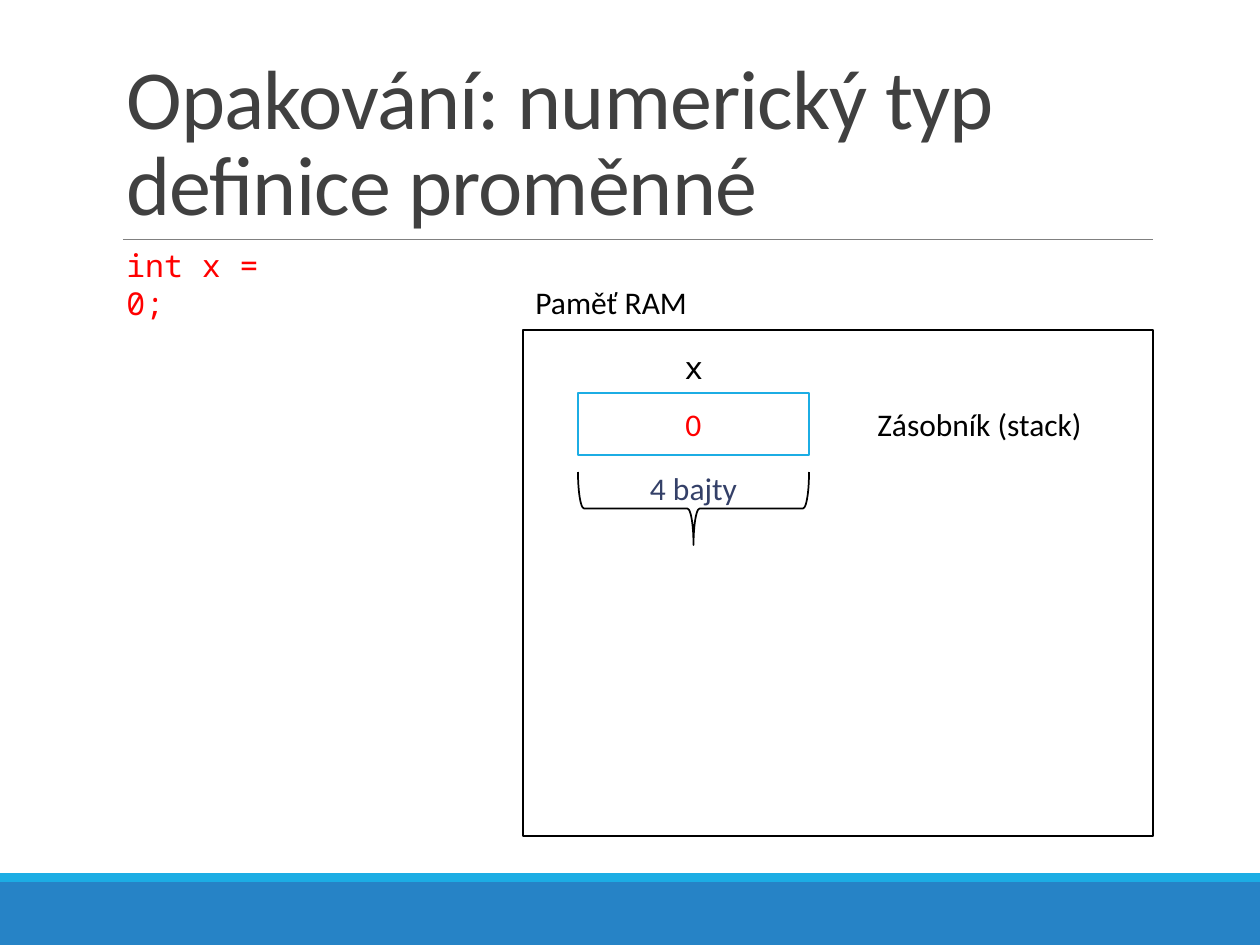
import pptx
import pptx.util
import pptx.dml.color
import pptx.enum.shapes
import pptx.enum.text
import pptx.oxml.ns
import lxml.etree

EMU_PER_PX = 914400 / 126
COLORS = {
    "white": "FFFFFF",
    "black": "000000",
    "red": "FF0000",
    "blue": "2683C6",
    "cyan": "1CADE4",
    "navy": "344068",
    "title": "404040",
    "rule": "808080",
}
SHAPES = pptx.enum.shapes.MSO_SHAPE
ALIGN = pptx.enum.text.PP_ALIGN
ANCHOR = pptx.enum.text.MSO_ANCHOR


def px(*lengths):
    return [pptx.util.Emu(round(length * EMU_PER_PX)) for length in lengths]


def write_text(shape, text, color="black", font="Calibri", size=18, align=ALIGN.LEFT,
               anchor=ANCHOR.TOP, line_spacing=None, tracking=None, margin_right=13):
    frame = shape.text_frame
    frame.word_wrap = True
    frame.auto_size = pptx.enum.text.MSO_AUTO_SIZE.NONE
    frame.vertical_anchor = anchor
    frame.margin_right = px(margin_right)[0]
    paragraph = frame.paragraphs[0]
    paragraph.text = text
    paragraph.alignment = align
    paragraph.line_spacing = line_spacing
    for run in paragraph.runs:
        run.font.name = font
        run.font.size = pptx.util.Pt(size)
        run.font.color.rgb = pptx.dml.color.RGBColor.from_string(COLORS[color])
        if tracking is not None:
            run.font._element.set("spc", str(tracking))


presentation = pptx.Presentation()
presentation.slide_width, presentation.slide_height = px(1260, 945)
slide = presentation.slides.add_slide(presentation.slide_layouts[5])

centered = {"align": ALIGN.CENTER, "anchor": ANCHOR.MIDDLE}
for kind, place, fill, line, width, text, text_color in [
    (SHAPES.RECTANGLE, (0, 882, 1260, 63), "blue", None, 0, None, None),
    (SHAPES.RECTANGLE, (0, 873, 1260, 9), "cyan", None, 0, None, None),
    (SHAPES.RECTANGLE, (523, 330, 630, 506), "white", "black", 1.25, None, None),
    (SHAPES.RECTANGLE, (578, 393, 231, 62), "white", "cyan", 1.25, "0", "red"),
    (SHAPES.LEFT_BRACE, (657, 393, 73, 231), None, "black", 1, "4 bajty", "navy"),
]:
    shape = slide.shapes.add_shape(kind, *px(*place))
    shape.shadow.inherit = False
    if fill:
        shape.fill.solid()
        shape.fill.fore_color.rgb = pptx.dml.color.RGBColor.from_string(COLORS[fill])
    else:
        shape.fill.background()
    if line:
        shape.line.color.rgb = pptx.dml.color.RGBColor.from_string(COLORS[line])
        shape.line.width = pptx.util.Pt(width)
    else:
        shape.line.fill.background()
    if text:
        write_text(shape, text, color=text_color, **centered)
    if kind == SHAPES.LEFT_BRACE:
        shape.rotation = 270
        shape.text_frame._txBody.bodyPr.set("vert", "vert")

rule = slide.shapes.add_connector(
    pptx.enum.shapes.MSO_CONNECTOR.STRAIGHT, *px(123, 239, 1153, 239))
rule.line.color.rgb = pptx.dml.color.RGBColor.from_string(COLORS["rule"])
rule.line.width = pptx.util.Pt(0.5)
lxml.etree.SubElement(rule._element.spPr, pptx.oxml.ns.qn("a:effectLst"))

title = slide.shapes.title
title.left, title.top, title.width, title.height = px(114, 39, 1039, 200)
write_text(title, "Opakování: numerický typ\vdefinice proměnné", color="title", size=48,
           anchor=ANCHOR.BOTTOM, line_spacing=0.85, tracking=-50)

for text, place, style in [
    ("int x = 0;", (114, 240, 200, 88),
     {"color": "red", "font": "Noto Sans Mono", "margin_right": 30}),
    ("Paměť RAM", (523, 277, 234, 50), {}),
    ("x", (579, 342, 230, 50), {"font": "Noto Sans Mono", "align": ALIGN.CENTER}),
    ("Zásobník (stack)", (865, 399, 265, 50), {}),
]:
    label = slide.shapes.add_textbox(*px(*place))
    write_text(label, text, **style)

presentation.save("out.pptx")
